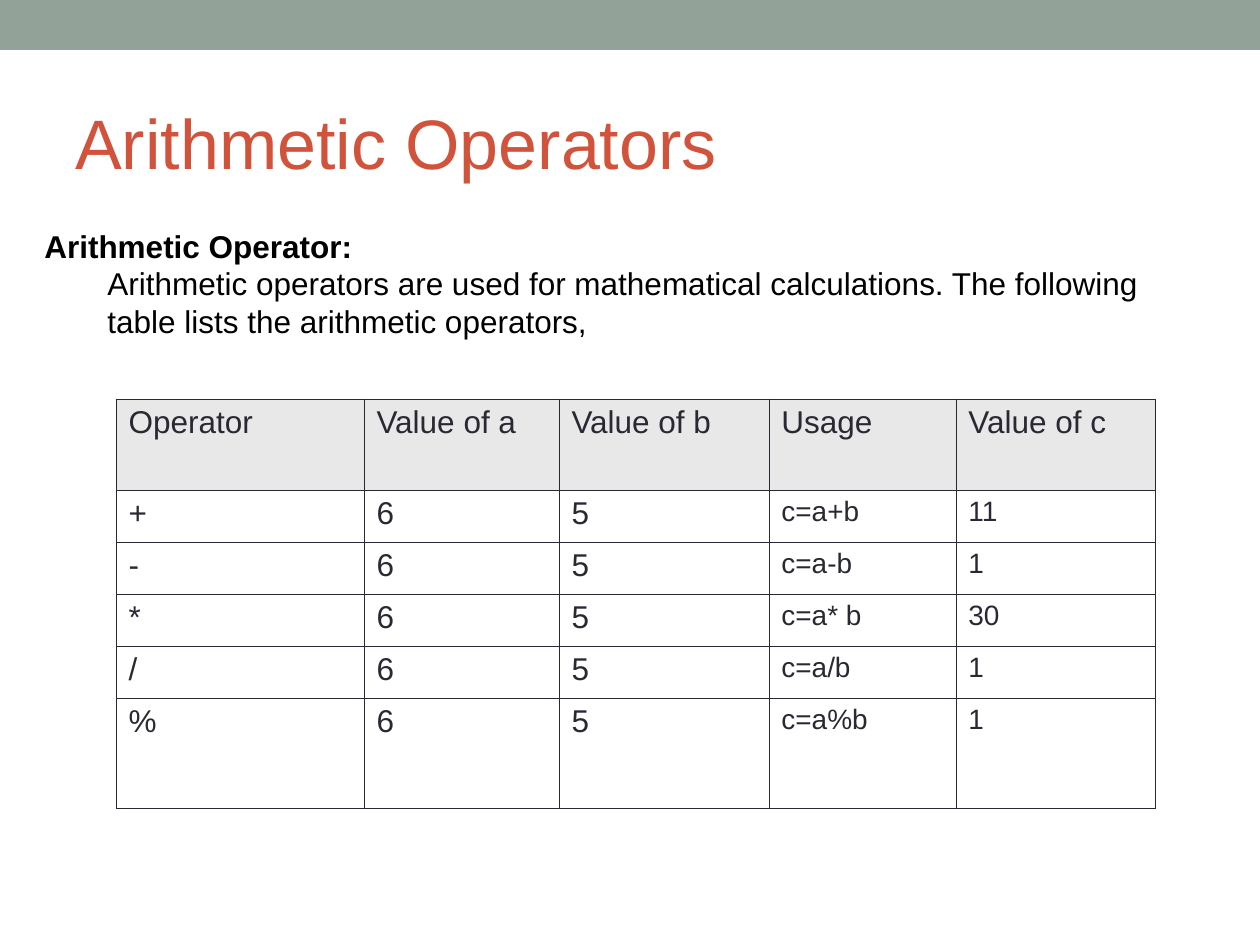
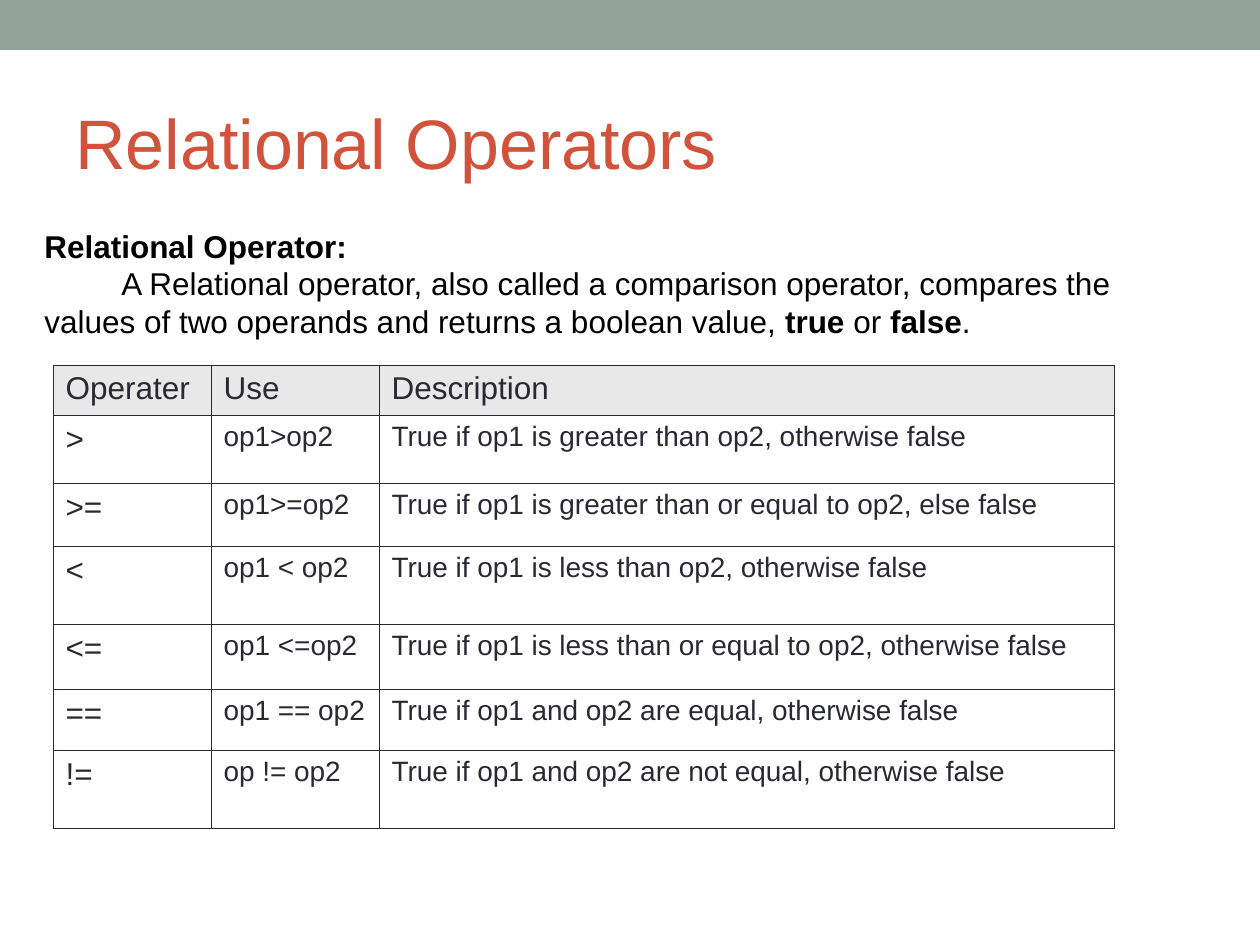
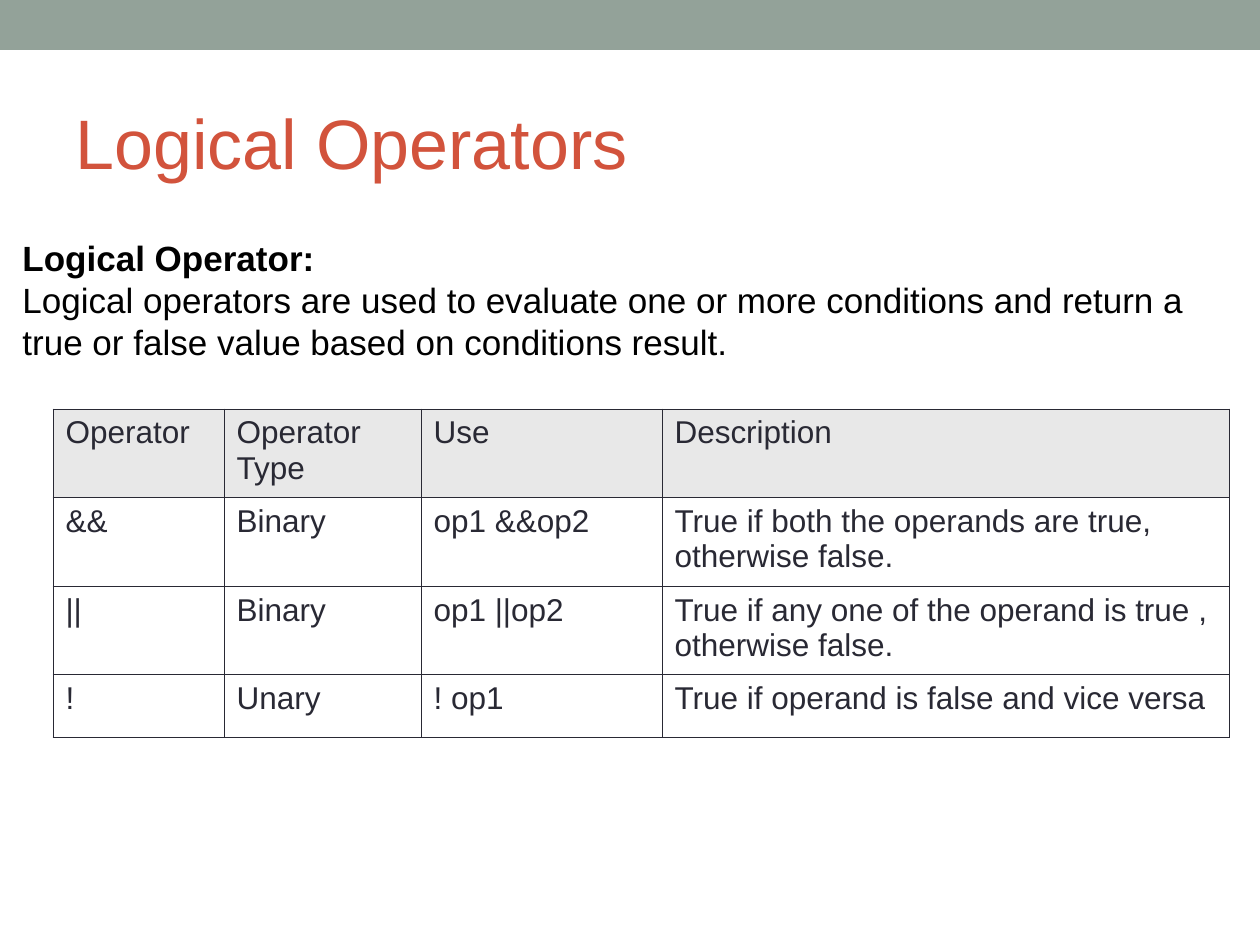
"""Build three slides on arithmetic, relational and logical operators."""
import pptx
import pptx.dml.color
import pptx.enum.shapes
import pptx.enum.text
import pptx.oxml
import pptx.oxml.ns
import pptx.util

EMU_PER_PX = 914400 / 126
FONT = "Arial"
LINE_FACTOR = 1.19
BORDER_PT = 0.45
COLORS = {"band": "93A299", "title": "D2533C", "body": "000000",
          "cell": "292934", "header": "E8E8E8"}

SLIDES = [
    {
        "title": "Arithmetic Operators",
        "intro_at": (32, 221, 1187, 126), "intro_size": 18,
        "heading": "Arithmetic Operator:",
        "intro": [("Arithmetic operators are used for mathematical calculations. "
                   "The following table lists the arithmetic operators,", False)],
        "margin": 63, "indent": 0,
        "table_at": (116, 399),
        "columns": [248, 195, 210, 187, 200],
        "heights": [91, 52, 52, 52, 52, 110],
        "sizes": [18, 18, 18, 16, 16],
        "rows": [
            ("Operator", "Value of a", "Value of b", "Usage", "Value of c"),
            ("+", "6", "5", "c=a+b", "11"),
            ("-", "6", "5", "c=a-b", "1"),
            ("*", "6", "5", "c=a* b", "30"),
            ("/", "6", "5", "c=a/b", "1"),
            ("%", "6", "5", "c=a%b", "1"),
        ],
    },
    {
        "title": "Relational Operators",
        "intro_at": (32, 221, 1134, 277), "intro_size": 18,
        "heading": "Relational Operator:",
        "intro": [("A Relational operator, also called a comparison operator, compares "
                   "the values of two operands and returns a boolean value, ", False),
                  ("true ", True), ("or ", False), ("false", True), (".", False)],
        "margin": 0, "indent": 77,
        "table_at": (53, 365),
        "columns": [158, 168, 735],
        "heights": [50, 68, 63, 78, 65, 61, 78],
        "sizes": [18, 16, 16],
        "rows": [
            ("Operater", "Use", "Description"),
            (">", "op1>op2", "True if op1 is greater than op2, otherwise false"),
            (">=", "op1>=op2", "True if op1 is greater than or equal to op2, else false"),
            ("<", "op1 < op2", "True if op1 is less than op2, otherwise false"),
            ("<=", "op1 <=op2", "True if op1 is less than or equal to op2, otherwise false"),
            ("==", "op1 == op2", "True if op1 and op2 are equal, otherwise false"),
            ("!=", "op != op2", "True if op1 and op2 are not equal, otherwise false"),
        ],
    },
    {
        "title": "Logical Operators",
        "intro_at": (10, 231, 1239, 139), "intro_size": 20,
        "heading": "Logical Operator:",
        "intro": [("Logical operators are used to evaluate one or more conditions and "
                   "return a true or false value based on conditions result.", False)],
        "margin": 0, "indent": 0,
        "table_at": (53, 409),
        "columns": [171, 197, 241, 567],
        "heights": [88, 89, 88, 63],
        "sizes": [18, 18, 18, 18],
        "rows": [
            ("Operator", "Operator Type", "Use", "Description"),
            ("&&", "Binary", "op1 &&op2",
             "True if both the operands are true, otherwise false."),
            ("||", "Binary", "op1 ||op2",
             "True if any one of the operand is true , otherwise false."),
            ("!", "Unary", "! op1", "True if operand is false and vice versa"),
        ],
    },
]


def px(length):
    return pptx.util.Emu(round(length * EMU_PER_PX))


def color(name):
    return pptx.dml.color.RGBColor.from_string(COLORS[name])


def add_span(para, text, size, color_name, bold=False):
    span = para.add_run()
    span.text = text
    span.font.name = FONT
    span.font.size = pptx.util.Pt(size)
    span.font.bold = bold
    span.font.color.rgb = color(color_name)


def add_box(page, at, size, color_name, paragraphs):
    frame = page.shapes.add_textbox(*map(px, at)).text_frame
    frame.word_wrap = True
    for number, spans in enumerate(paragraphs):
        para = frame.add_paragraph() if number else frame.paragraphs[0]
        para.line_spacing = pptx.util.Pt(round(size * LINE_FACTOR, 1))
        for text, bold in spans:
            add_span(para, text, size, color_name, bold)
    return frame


def add_band(page):
    band = page.shapes.add_shape(
        pptx.enum.shapes.MSO_SHAPE.RECTANGLE, 0, 0, px(1260), px(50))
    band.shadow.inherit = False
    band.fill.solid()
    band.fill.fore_color.rgb = color("band")
    band.line.fill.background()


def add_title(page, text):
    frame = add_box(page, (63, 74, 1134, 136), 40, "title", [[(text, False)]])
    frame.vertical_anchor = pptx.enum.text.MSO_ANCHOR.MIDDLE


def add_intro(page, content):
    frame = add_box(page, content["intro_at"], content["intro_size"], "body",
                    [[(content["heading"], True)], content["intro"]])
    properties = frame.paragraphs[1]._p.get_or_add_pPr()
    properties.set("marL", str(px(content["margin"])))
    properties.set("indent", str(px(content["indent"])))


def set_borders(cell):
    properties = cell._tc.get_or_add_tcPr()
    for position, side in enumerate(("lnL", "lnR", "lnT", "lnB")):
        border = pptx.oxml.parse_xml(
            f'<a:{side} {pptx.oxml.ns.nsdecls("a")} w="{pptx.util.Pt(BORDER_PT)}">'
            f'<a:solidFill><a:srgbClr val="{COLORS["cell"]}"/></a:solidFill></a:{side}>')
        properties.insert(position, border)


def add_operator_table(page, content):
    columns, heights = content["columns"], content["heights"]
    bounds = (*content["table_at"], sum(columns), sum(heights))
    table = page.shapes.add_table(len(heights), len(columns), *map(px, bounds)).table
    table.first_row = table.horz_banding = False
    for column, width in zip(table.columns, columns):
        column.width = px(width)
    for row_number, texts in enumerate(content["rows"]):
        table.rows[row_number].height = px(heights[row_number])
        for column_number, text in enumerate(texts):
            cell = table.cell(row_number, column_number)
            size = content["sizes"][column_number] if row_number else 18
            add_span(cell.text_frame.paragraphs[0], text, size, "cell")
            if row_number:
                cell.fill.background()
            else:
                cell.fill.solid()
                cell.fill.fore_color.rgb = color("header")
            set_borders(cell)


def main():
    deck = pptx.Presentation()
    deck.slide_width, deck.slide_height = px(1260), px(945)
    for content in SLIDES:
        page = deck.slides.add_slide(deck.slide_layouts[6])
        add_band(page)
        add_title(page, content["title"])
        add_intro(page, content)
        add_operator_table(page, content)
    deck.save("out.pptx")


if __name__ == "__main__":
    main()
